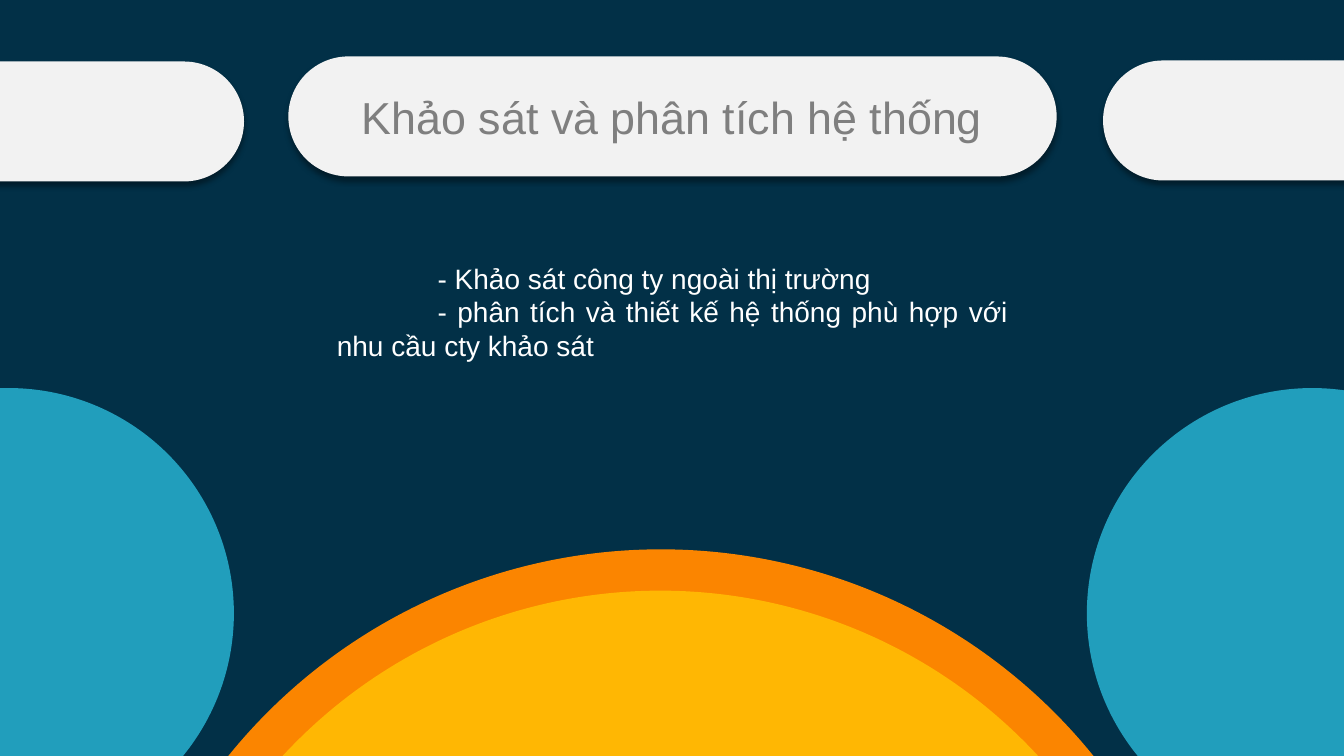
from typing import NamedTuple

from lxml import etree
from pptx import Presentation
from pptx.dml.color import RGBColor
from pptx.enum.shapes import MSO_SHAPE
from pptx.enum.text import MSO_ANCHOR, MSO_AUTO_SIZE, PP_ALIGN
from pptx.oxml import parse_xml
from pptx.oxml.ns import nsdecls, qn
from pptx.util import Inches, Pt

OVAL, PILL = MSO_SHAPE.OVAL, MSO_SHAPE.ROUNDED_RECTANGLE
CENTER, JUSTIFY = PP_ALIGN.CENTER, PP_ALIGN.JUSTIFY
TOP, MIDDLE = MSO_ANCHOR.TOP, MSO_ANCHOR.MIDDLE
FIXED_SIZE = MSO_AUTO_SIZE.NONE

FONT = "Arial"
COLORS = {
    "navy": "023047",
    "orange": "FB8500",
    "yellow": "FFB703",
    "teal": "219EBC",
    "pill": "F2F2F2",
    "title": "7F7F7F",
    "body": "FFFFFF",
}
PILL_WIDTH, PILL_HEIGHT = 7.62, 1.19


class Circle(NamedTuple):
    left: float
    top: float
    diameter: float
    color: str


class Position(NamedTuple):
    left: float
    top: float


class TextStyle(NamedTuple):
    size: int
    color: str
    alignment: PP_ALIGN
    anchor: MSO_ANCHOR


CIRCLES = [
    Circle(-6.34, -6.46, 21.47, "navy"),
    Circle(1.04, 5.45, 11.03, "orange"),
    Circle(1.45, 5.86, 10.2, "yellow"),
    Circle(10.78, 3.85, 4.47, "teal"),
    Circle(-2.15, 3.85, 4.47, "teal"),
]
TITLE_POSITION = Position(2.86, 0.56)
PILLS = [Position(-5.2, 0.61), TITLE_POSITION, Position(10.94, 0.6)]
TITLE_STYLE = TextStyle(32, "title", CENTER, MIDDLE)
BODY_STYLE = TextStyle(20, "body", JUSTIFY, TOP)
TITLE = "Khảo sát và phân tích hệ thống"
BODY = [
    "- Khảo sát công ty ngoài thị trường",
    "- phân tích và thiết kế hệ thống phù hợp với nhu cầu cty khảo sát",
]


def add_filled(slide, kind, left: float, top: float, width: float, height: float, color: str):
    shape = slide.shapes.add_shape(kind, Inches(left), Inches(top), Inches(width), Inches(height))
    shape.shadow.inherit = False
    shape.fill.solid()
    shape.fill.fore_color.rgb = RGBColor.from_string(COLORS[color])
    shape.line.fill.background()
    return shape


def add_pill(slide, position: Position) -> None:
    shape = add_filled(slide, PILL, *position, PILL_WIDTH, PILL_HEIGHT, "pill")
    shape.adjustments[0] = 0.5
    effects = shape._element.spPr.find(qn("a:effectLst"))
    effects.append(parse_xml(
        f'<a:outerShdw {nsdecls("a")} blurRad="{Pt(4)}" dist="{Pt(3)}" dir="5400000" '
        'algn="t" rotWithShape="0"><a:srgbClr val="000000"><a:alpha val="40000"/>'
        '</a:srgbClr></a:outerShdw>'))


def fill_placeholder(slide, placeholder, position: Position, width: float, height: float,
                     lines: list[str], style: TextStyle) -> None:
    placeholder.left, placeholder.top = Inches(position.left), Inches(position.top)
    placeholder.width, placeholder.height = Inches(width), Inches(height)
    frame = placeholder.text_frame
    frame.text = "\n".join(lines)
    frame.word_wrap = True
    frame.auto_size = FIXED_SIZE
    frame.vertical_anchor = style.anchor
    for paragraph in frame.paragraphs:
        paragraph.alignment = style.alignment
        paragraph.space_before = Pt(0)
        paragraph.font.name = FONT
        paragraph.font.size = Pt(style.size)
        paragraph.font.color.rgb = RGBColor.from_string(COLORS[style.color])
    # Bring the text in front of the shapes drawn so far
    slide.shapes._spTree.append(placeholder._element)


def indent_first_lines(placeholder, indent: float) -> None:
    for paragraph in placeholder.text_frame.paragraphs:
        properties = paragraph._p.get_or_add_pPr()
        properties.set("marL", "0")
        properties.set("indent", str(Inches(indent)))
        no_bullet = etree.Element(qn("a:buNone"))
        properties.find(qn("a:defRPr")).addprevious(no_bullet)


def main() -> None:
    presentation = Presentation()
    presentation.slide_width, presentation.slide_height = Inches(13.33), Inches(7.5)
    slide = presentation.slides.add_slide(presentation.slide_layouts[1])
    title, body = slide.shapes.title, slide.placeholders[1]

    # Background circles
    for circle in CIRCLES:
        add_filled(slide, OVAL, circle.left, circle.top, circle.diameter, circle.diameter,
                   circle.color)

    # Body text
    fill_placeholder(slide, body, Position(3.24, 2.54), 6.86, 1.45, BODY, BODY_STYLE)
    indent_first_lines(body, 1)

    # Row of pills with the title on the middle one
    for position in PILLS:
        add_pill(slide, position)
    fill_placeholder(slide, title, TITLE_POSITION, PILL_WIDTH, PILL_HEIGHT, [TITLE], TITLE_STYLE)

    presentation.save("out.pptx")


if __name__ == "__main__":
    main()
